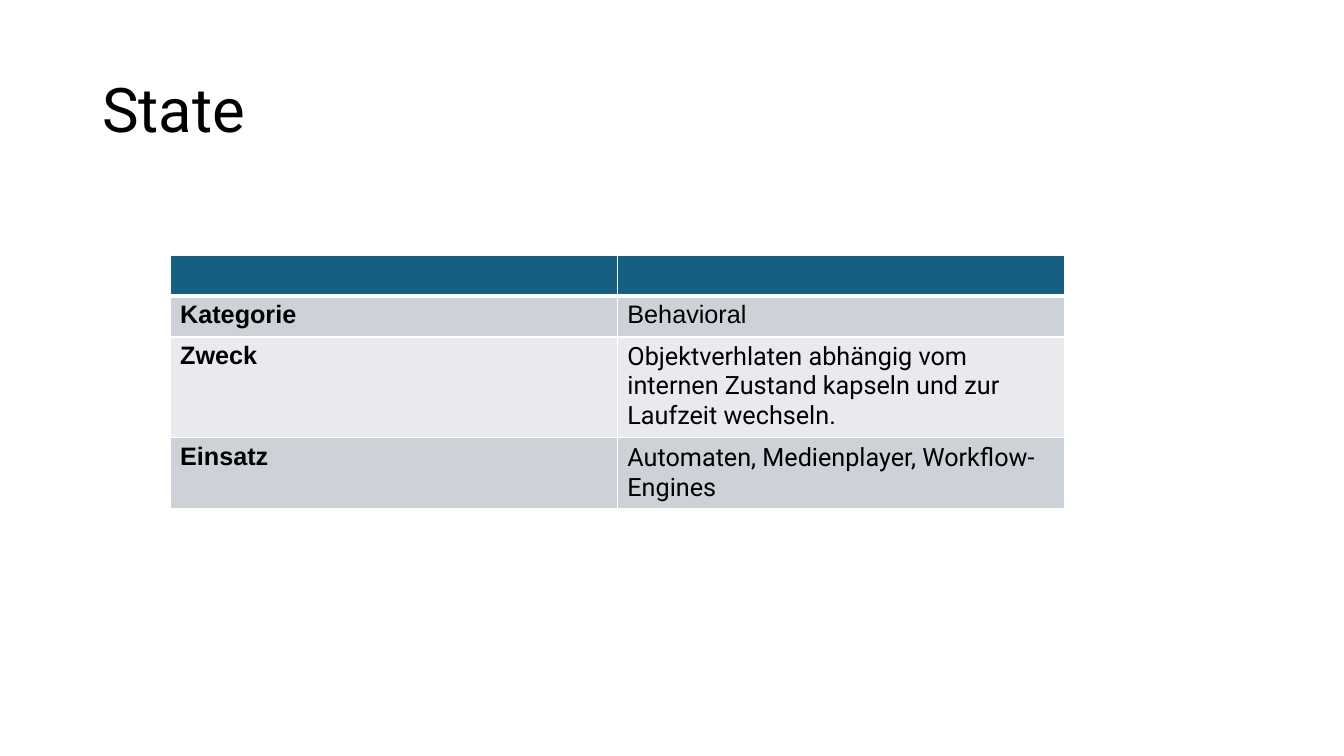
from dataclasses import dataclass

from lxml import etree
from pptx import Presentation
from pptx.dml.color import RGBColor
from pptx.enum.text import MSO_ANCHOR
from pptx.oxml.ns import qn
from pptx.util import Pt

MIDDLE = MSO_ANCHOR.MIDDLE
TOP = MSO_ANCHOR.TOP
PX = 9525
BLANK = 6


@dataclass(frozen=True)
class Theme:
    """Colours, fonts and sizes of the slide."""
    text: str = "000000"
    header: str = "156082"
    bands: tuple = ("CCD2D8", "E8EAED")
    border: str = "FFFFFF"
    border_pt: int = 1
    header_border_pt: int = 3
    display: str = "Roboto"
    body: str = "Arial"
    title_pt: int = 44
    body_pt: int = 18


THEME = Theme()

ROWS = [
    ("Kategorie", "Behavioral", THEME.body, TOP),
    ("Zweck", "Objektverhlaten abhängig vom internen Zustand kapseln und zur "
     "Laufzeit wechseln.", THEME.display, TOP),
    ("Einsatz", "Automaten, Medienplayer, Workflow-Engines", THEME.display, MIDDLE),
]


def px(*lengths):
    """Turn px lengths into EMU."""
    return [n * PX for n in lengths]


def style_run(r, font, size, bold=False):
    """Set the font of a run."""
    r.font.name = font
    r.font.size = Pt(size)
    r.font.bold = bold
    r.font.color.rgb = RGBColor.from_string(THEME.text)


def add_title(s, text, left, top, width, height):
    """Add the slide title."""
    tf = s.shapes.add_textbox(*px(left, top, width, height)).text_frame
    tf.word_wrap = True
    tf.vertical_anchor = MIDDLE
    p = tf.paragraphs[0]
    p.text = text
    p.line_spacing = 0.9
    style_run(p.runs[0], THEME.display, THEME.title_pt)


def set_border(cell, side, width):
    """Draw one side of a cell border."""
    ln = etree.SubElement(cell._tc.get_or_add_tcPr(), qn(f"a:ln{side}"),
                          w=str(Pt(width)))
    fill = etree.SubElement(ln, qn("a:solidFill"))
    etree.SubElement(fill, qn("a:srgbClr"), val=THEME.border)


def paint_cell(cell, color, top_pt, bottom_pt):
    """Give a cell its borders and fill."""
    widths = {"L": THEME.border_pt, "R": THEME.border_pt,
              "T": top_pt, "B": bottom_pt}
    for side, width in widths.items():
        set_border(cell, side, width)
    cell.fill.solid()
    cell.fill.fore_color.rgb = RGBColor.from_string(color)


def write_cell(cell, text, font, bold=False, anchor=TOP):
    """Write styled text into a cell."""
    cell.text_frame.text = text
    cell.vertical_anchor = anchor
    style_run(cell.text_frame.paragraphs[0].runs[0], font, THEME.body_pt, bold)


def add_facts_table(s, rows, left, top, col_width, row_height):
    """Add the two-column table with an empty header row."""
    n = len(rows) + 1
    table = s.shapes.add_table(
        n, 2, *px(left, top, 2 * col_width, n * row_height)).table
    table.horz_banding = False
    for cell in table.rows[0].cells:
        paint_cell(cell, THEME.header, THEME.border_pt, THEME.header_border_pt)
    for i, (label, value, font, anchor) in enumerate(rows):
        label_cell, value_cell = table.rows[i + 1].cells
        top_pt = THEME.border_pt if i else THEME.header_border_pt
        for cell in (label_cell, value_cell):
            paint_cell(cell, THEME.bands[i % 2], top_pt, THEME.border_pt)
        write_cell(label_cell, label, THEME.body, bold=True)
        write_cell(value_cell, value, font, anchor=anchor)


def main():
    """Build and save the slide."""
    prs = Presentation()
    prs.slide_width, prs.slide_height = px(1280, 720)
    s = prs.slides.add_slide(prs.slide_layouts[BLANK])
    add_title(s, "State", 88, 38, 1104, 139)
    add_facts_table(s, ROWS, 162, 243, 426, 39)
    prs.save("out.pptx")


if __name__ == "__main__":
    main()
